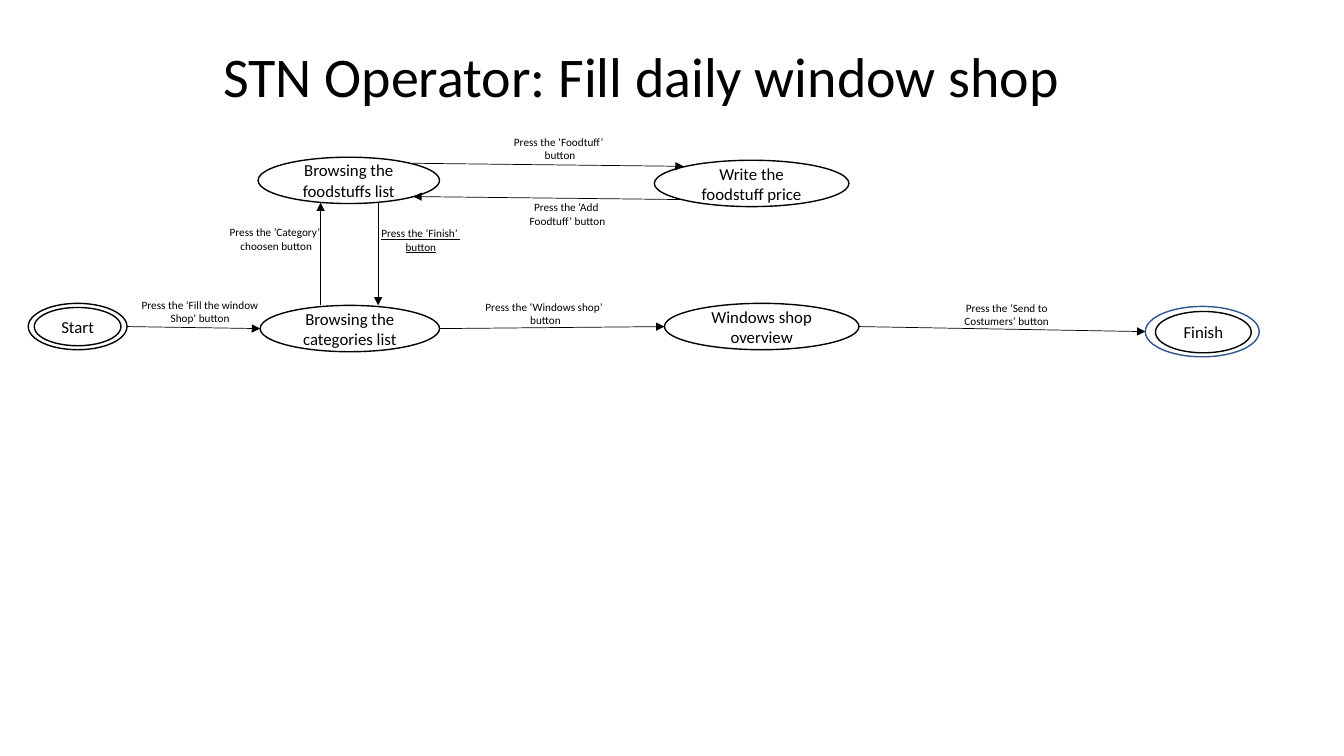
from pptx import Presentation
from pptx.dml.color import RGBColor
from pptx.enum.shapes import MSO_CONNECTOR, MSO_SHAPE
from pptx.enum.text import MSO_ANCHOR, MSO_AUTO_SIZE, PP_ALIGN
from pptx.oxml.ns import qn
from pptx.util import Inches, Pt
from lxml import etree

OVAL = MSO_SHAPE.OVAL
LINE = MSO_CONNECTOR.STRAIGHT
CENTER = PP_ALIGN.CENTER
MIDDLE, BOTTOM = MSO_ANCHOR.MIDDLE, MSO_ANCHOR.BOTTOM
GROW = MSO_AUTO_SIZE.SHAPE_TO_FIT_TEXT
COLORS = {"ink": "000000", "paper": "FFFFFF", "blue": "325491"}


def color(name):
    return RGBColor.from_string(COLORS[name])


def write(frame, text, size, under=None):
    """Fill a text frame with centred paragraphs, one per line of text."""
    frame.text = text
    for para in frame.paragraphs:
        para.alignment = CENTER
        for run in para.runs:
            run.font.name = "Calibri"
            run.font.size = Pt(size)
            run.font.color.rgb = color("ink")
            run.font.underline = under


deck = Presentation()
deck.slide_width, deck.slide_height = Inches(13.33), Inches(7.5)
slide = deck.slides.add_slide(deck.slide_layouts[0])
shapes = slide.shapes

# Title
sub = slide.placeholders[1].element
sub.getparent().remove(sub)
title = shapes.title
title.left, title.top = Inches(1.36), Inches(0.37)
title.width, title.height = Inches(10), Inches(0.77)
write(title.text_frame, "STN Operator: Fill daily window shop", 40)
title.text_frame.vertical_anchor = BOTTOM
title.text_frame.paragraphs[0].line_spacing = 0.9

# States: left, top, width, height, outline, text
states = [
    (11.36, 3.04, 1.13, 0.5, "blue", ""),
    (11.46, 3.09, 0.95, 0.41, "ink", "Finish"),
    (0.28, 3.01, 0.98, 0.46, "ink", ""),
    (0.34, 3.05, 0.86, 0.38, "ink", "Start"),
    (2.58, 3.03, 1.78, 0.46, "ink", "Browsing the categories list"),
    (2.56, 1.56, 1.8, 0.46, "ink", "Browsing the foodstuffs list"),
    (6.49, 1.59, 1.93, 0.46, "ink", "Write the foodstuff price"),
    (6.59, 3.01, 1.93, 0.46, "ink", "Windows shop overview"),
]
for left, top, width, height, edge, text in states:
    state = shapes.add_shape(OVAL, Inches(left), Inches(top), Inches(width), Inches(height))
    state.shadow.inherit = False
    state.fill.solid()
    state.fill.fore_color.rgb = color("paper")
    state.line.color.rgb = color(edge)
    state.line.width = Pt(1)
    if text:
        write(state.text_frame, text, 12)
        state.text_frame.vertical_anchor = MIDDLE

# Labels: left, top, width, wrap, underline, text
labels = [
    (1.2, 2.91, 1.57, True, None, "Press the ‘Fill the window\nShop’ button"),
    (2.15, 2.19, 1.18, True, None, "Press the ’Category’ \nchoosen button"),
    (4.99, 1.29, 1.13, True, None, "Press the ‘Foodtuff’ \nbutton"),
    (5.15, 1.94, 0.96, False, None, "Press the ‘Add \nFoodtuff’ button"),
    (3.66, 2.2, 1.03, True, True, "Press the ‘Finish’ \nbutton"),
    (4.7, 2.93, 1.42, True, None, "Press the ‘Windows shop’ \nbutton"),
    (9.43, 2.94, 1.11, True, None, "Press the ‘Send to\nCostumers’ button"),
]
for left, top, width, wrap, under, text in labels:
    label = shapes.add_textbox(Inches(left), Inches(top), Inches(width), Inches(0.37))
    label.text_frame.word_wrap = wrap
    label.text_frame.auto_size = GROW
    write(label.text_frame, text, 8, under)

# Arrows: from x, y to x, y
arrows = [
    (1.26, 3.24, 2.58, 3.26),
    (4.36, 3.26, 6.59, 3.24),
    (8.52, 3.24, 11.36, 3.29),
    (3.18, 3.03, 3.18, 2.01),
    (4.1, 1.62, 6.78, 1.65),
    (6.78, 1.98, 4.1, 1.95),
    (3.75, 2.01, 3.75, 3.03),
]
for ends in arrows:
    arrow = shapes.add_connector(LINE, *map(Inches, ends))
    arrow.line.color.rgb = color("ink")
    arrow.line.width = Pt(0.5)
    etree.SubElement(arrow.line._get_or_add_ln(), qn("a:tailEnd"), type="triangle")
    etree.SubElement(arrow._element.spPr, qn("a:effectLst"))

deck.save("out.pptx")
